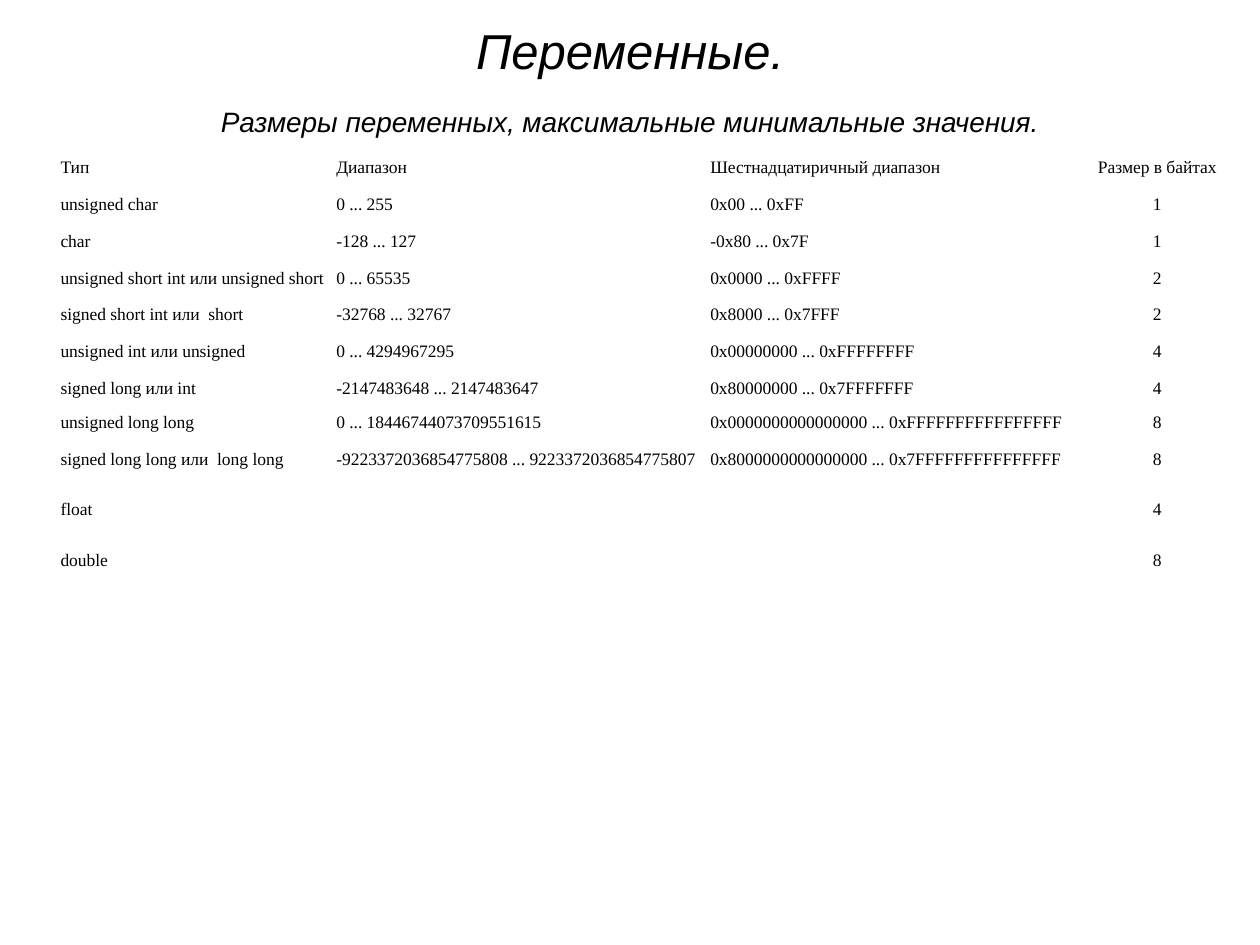
from pptx import Presentation
from pptx.dml.color import RGBColor
from pptx.enum.text import MSO_ANCHOR, PP_ALIGN
from pptx.util import Cm, Pt


def paint(font, name, size, color="000000", italic=False):
    font.name = name
    font.size = Pt(size)
    font.italic = italic
    font.color.rgb = RGBColor.from_string(color)


deck = Presentation()
deck.slide_width, deck.slide_height = Cm(25.4), Cm(19.05)
slide = deck.slides.add_slide(deck.slide_layouts[5])

# Title
title = slide.shapes.title
title.left, title.top, title.width, title.height = Cm(0), Cm(0.41), Cm(25.4), Cm(1.78)
frame = title.text_frame
frame.text = "Переменные."
frame.vertical_anchor = MSO_ANCHOR.TOP
frame.margin_top = frame.margin_bottom = Cm(0)
para = frame.paragraphs[0]
para.alignment = PP_ALIGN.CENTER
para.space_before = Pt(7)
paint(para.font, "Arial", 28, italic=True)

# Subtitle
box = slide.shapes.add_textbox(Cm(0), Cm(1.98), Cm(25.4), Cm(1.19))
frame = box.text_frame
frame.word_wrap = True
frame.text = "Размеры переменных, максимальные минимальные значения."
para = frame.paragraphs[0]
para.alignment = PP_ALIGN.CENTER
paint(para.font, "Arial", 16, italic=True)

# Table of types
rows = [
    ("Тип", "Диапазон", "Шестнадцатиричный диапазон", "Размер в байтах"),
    ("unsigned char", "0 ... 255", "0x00 ... 0xFF", "1"),
    ("char", "-128 ... 127", "-0x80 ... 0x7F", "1"),
    ("unsigned short int или unsigned short", "0 ... 65535", "0x0000 ... 0xFFFF", "2"),
    ("signed short int или  short", "-32768 ... 32767", "0x8000 ... 0x7FFF", "2"),
    ("unsigned int или unsigned", "0 ... 4294967295", "0x00000000 ... 0xFFFFFFFF", "4"),
    ("signed long или int", "-2147483648 ... 2147483647", "0x80000000 ... 0x7FFFFFFF", "4"),
    ("unsigned long long", "0 ... 18446744073709551615",
     "0x0000000000000000 ... 0xFFFFFFFFFFFFFFFF", "8"),
    ("signed long long или  long long", "-9223372036854775808 ... 9223372036854775807",
     "0x8000000000000000 ... 0x7FFFFFFFFFFFFFFF", "8"),
    ("float", "", "", "4"),
    ("double", "", "", "8"),
]
widths = [5.56, 7.54, 7.75, 2.58]
table = slide.shapes.add_table(
    len(rows), len(widths), Cm(1.19), Cm(2.97), Cm(sum(widths)), Cm(8.03)).table
table.first_row = table.horz_banding = False
for col, width in zip(table.columns, widths):
    col.width = Cm(width)

for i, texts in enumerate(rows):
    table.rows[i].height = Cm(0.69 if i == 7 else 0.74)
    for j, text in enumerate(texts):
        cell = table.cell(i, j)
        cell.fill.background()
        # Blank cells keep the default size, which makes their rows taller
        if not text:
            continue
        cell.text = text
        cell.vertical_anchor = MSO_ANCHOR.BOTTOM
        cell.margin_left = cell.margin_right = Cm(0.03)
        para = cell.text_frame.paragraphs[0]
        para.alignment = PP_ALIGN.CENTER if j == 3 else PP_ALIGN.LEFT
        paint(para.font, "Times New Roman", 10)

# Plain grid without lines
style = table._tbl.tblPr.find("{http://schemas.openxmlformats.org/drawingml/2006/main}tableStyleId")
style.text = "{2D5ABB26-0587-4C30-8999-92F81FD0307C}"

deck.save("out.pptx")
